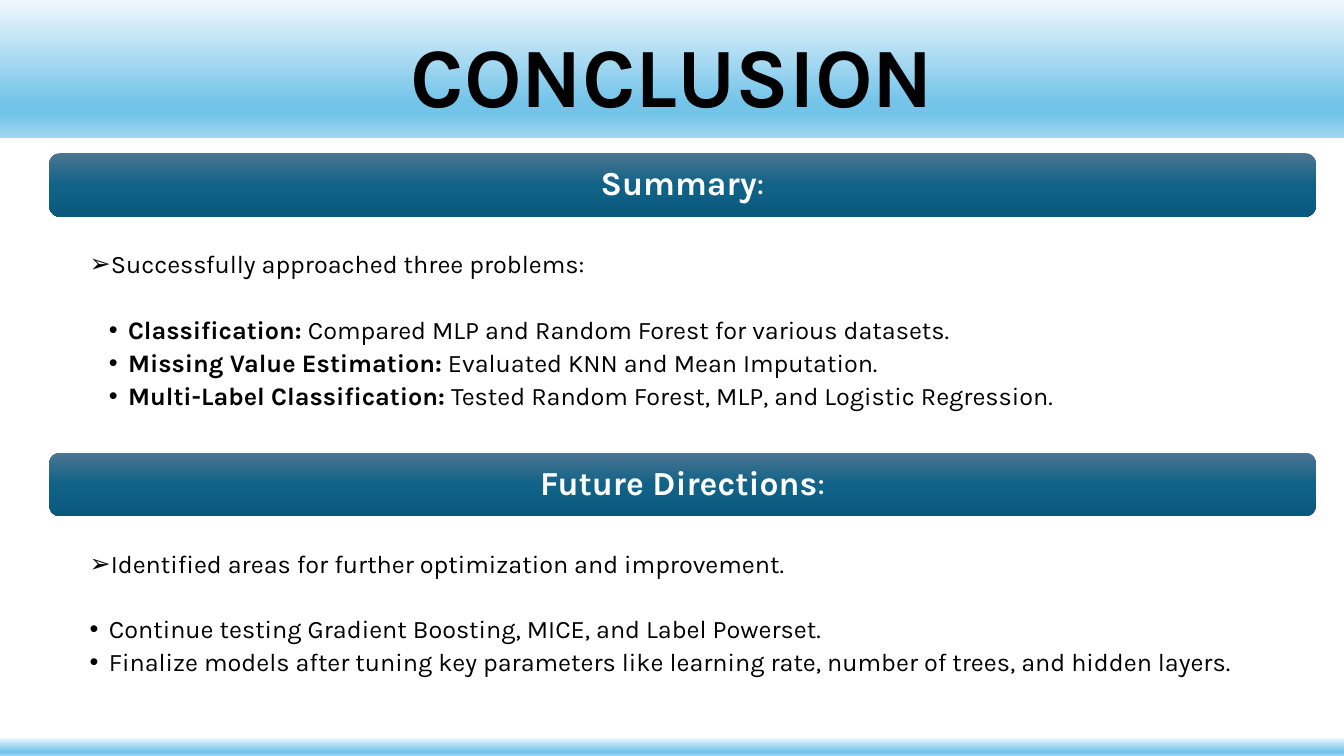
from lxml.etree import SubElement
from pptx import Presentation
from pptx.dml.color import RGBColor
from pptx.enum.shapes import MSO_SHAPE
from pptx.enum.text import MSO_ANCHOR, PP_ALIGN
from pptx.oxml.ns import qn
from pptx.util import Inches, Pt

BLACK = RGBColor(0x00, 0x00, 0x00)
WHITE = RGBColor(0xFF, 0xFF, 0xFF)
PALE = RGBColor(0xF0, 0xF8, 0xFD)
SKY = RGBColor(0x74, 0xC4, 0xE9)
MIST = RGBColor(0xA2, 0xD8, 0xF0)
SLATE = RGBColor(0x4C, 0x75, 0x91)
TEAL = RGBColor(0x10, 0x62, 0x87)
NAVY = RGBColor(0x09, 0x59, 0x7D)
BAND = [(0, PALE), (74, SKY), (83, SKY), (100, MIST)]
BAR = [(0, SLATE), (50, TEAL), (100, NAVY)]

FONT = "Karla"
WIDE, HIGH = 13.33, 7.5
LEFT, SPAN = 0.49, 12.56
BAR_H, STEP = 0.63, 0.19
LINE_GAP = 4.2
BLANK = 23.1  # height of one line with its gap, in points


def shade(shape, stops):
    """Fill a shape from top to bottom with the given colour stops."""
    shape.fill.gradient()
    shape.fill.gradient_angle = 270
    shape.line.fill.background()
    items = shape._element.spPr.find(qn("a:gradFill")).find(qn("a:gsLst"))
    for old in list(items):
        items.remove(old)
    for place, color in stops:
        stop = SubElement(items, qn("a:gs"), pos=str(place * 1000))
        SubElement(stop, qn("a:srgbClr"), val=str(color))


def style(para, size, color, bolds):
    """Format the runs of a paragraph, one bold flag for each run."""
    para.line_spacing = 0.9
    for run, bold in zip(para.runs, bolds):
        run.font.name = FONT
        run.font.size = Pt(size)
        run.font.bold = bold
        run.font.color.rgb = color


deck = Presentation()
deck.slide_width, deck.slide_height = Inches(WIDE), Inches(HIGH)
slide = deck.slides.add_slide(deck.slide_layouts[5])
shapes = slide.shapes

# Title band
title = shapes.title
title.left = title.top = 0
title.width, title.height = Inches(WIDE), Inches(1.37)
shade(title, BAND)
frame = title.text_frame
frame.text = "CONCLUSION"
frame.vertical_anchor = MSO_ANCHOR.MIDDLE
frame.margin_top, frame.margin_bottom = Inches(0.23), 0
frame.paragraphs[0].alignment = PP_ALIGN.CENTER
style(frame.paragraphs[0], 60.3, BLACK, [True])

# Sections: top, heading, body height, lines of (level, bullet, bold part, rest)
parts = [
    (1.52, "Summary", 2.34, [
        (1, "➢", "", "Successfully approached three problems:"),
        (2, "•", "Classification:", " Compared MLP and Random Forest for various datasets."),
        (2, "•", "Missing Value Estimation:", " Evaluated KNN and Mean Imputation."),
        (2, "•", "Multi-Label Classification:",
         " Tested Random Forest, MLP, and Logistic Regression."),
    ]),
    (4.49, "Future Directions", 1.66, [
        (1, "➢", "", "Identified areas for further optimization and improvement."),
        (1, "•", "", "Continue testing Gradient Boosting, MICE, and Label Powerset."),
        (1, "•", "", "Finalize models after tuning key parameters like learning rate, "
                     "number of trees, and hidden layers."),
    ]),
]
for top, name, tall, lines in parts:
    # Heading bar
    bar = shapes.add_shape(MSO_SHAPE.ROUNDED_RECTANGLE, Inches(LEFT), Inches(top),
                           Inches(SPAN), Inches(BAR_H))
    bar.shadow.inherit = False
    shade(bar, BAR)
    frame = bar.text_frame
    frame.vertical_anchor = MSO_ANCHOR.MIDDLE
    head = frame.paragraphs[0]
    head.alignment = PP_ALIGN.CENTER
    for text in (name, ":"):
        head.add_run().text = text
    style(head, 24, WHITE, [True, False])

    # Body text
    body = shapes.add_textbox(Inches(LEFT), Inches(top + BAR_H), Inches(SPAN), Inches(tall))
    frame = body.text_frame
    frame.word_wrap = True
    frame.margin_left, frame.margin_right = Inches(0.4), Inches(0.14)
    frame.margin_top, frame.margin_bottom = Inches(0.03 + BLANK / 72), Inches(0.03)
    for row, (level, mark, lead, rest) in enumerate(lines):
        para = frame.paragraphs[0] if row == 0 else frame.add_paragraph()
        texts = [text for text in (lead, rest) if text]
        for text in texts:
            para.add_run().text = text
        style(para, 18, BLACK, [text == lead for text in texts])
        para.space_after = Pt(LINE_GAP + (BLANK if row == 0 else 0))
        props = para._p.get_or_add_pPr()
        props.set("marL", str(Inches(STEP * level)))
        props.set("indent", str(-Inches(STEP)))
        SubElement(props, qn("a:buFont"), typeface="Arial")
        SubElement(props, qn("a:buChar"), char=mark)

# Bottom band
foot = shapes.add_shape(MSO_SHAPE.RECTANGLE, 0, Inches(HIGH - 0.18), Inches(WIDE), Inches(0.18))
foot.shadow.inherit = False
shade(foot, BAND)

deck.save("out.pptx")
